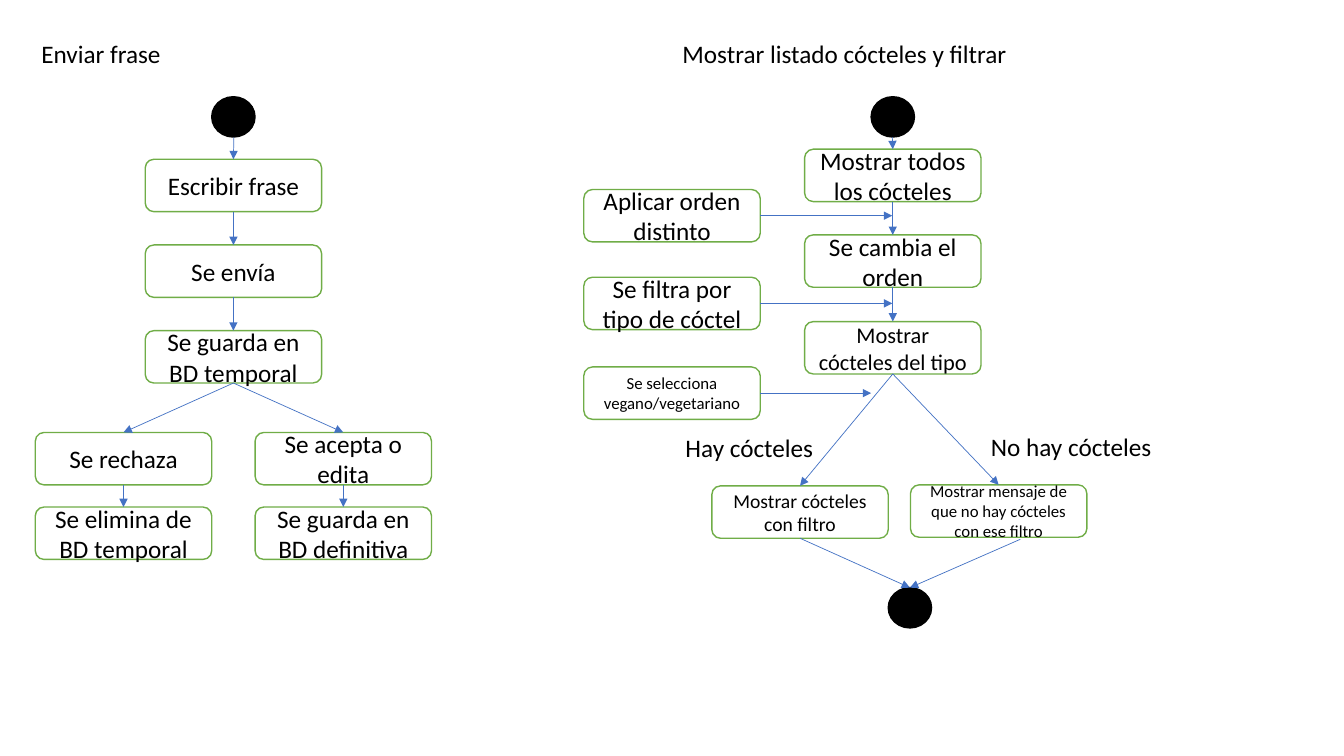
from pptx import Presentation
from pptx.dml.color import RGBColor
from pptx.enum.shapes import MSO_CONNECTOR as Line, MSO_SHAPE as Shape
from pptx.enum.text import MSO_ANCHOR as Anchor, MSO_AUTO_SIZE as Fit, PP_ALIGN as Align
from pptx.oxml.ns import qn
from pptx.util import Pt
from lxml.etree import SubElement as sub

PX = 9144  # 100 px to the inch
WIDE, HIGH = 175, 52
BLACK, WHITE, GREEN, BLUE = "000000", "FFFFFF", "70AD47", "4472C4"
color = RGBColor.from_string


def write(shape, text, size, align, wrap):
    frame = shape.text_frame
    frame.text = text
    form = {"word_wrap": wrap, "auto_size": Fit.NONE,
            "vertical_anchor": Anchor.MIDDLE if wrap else Anchor.TOP}
    for name, value in form.items():
        setattr(frame, name, value)
    para = frame.paragraphs[0]
    para.alignment = align
    font = para.runs[0].font
    for name, value in {"name": "Calibri", "size": Pt(size), "bold": False}.items():
        setattr(font, name, value)
    font.color.rgb = color(BLACK)


def draw(kind, x, y, w, h, fill, edge):
    shape = shapes.add_shape(kind, x * PX, y * PX, w * PX, h * PX)
    shape.shadow.inherit = False
    shape.fill.solid()
    shape.fill.fore_color.rgb = color(fill)
    shape.line.color.rgb = color(edge)
    shape.line.width = Pt(1)
    return shape


deck = Presentation()
deck.slide_width, deck.slide_height = 1333 * PX, 750 * PX
slide = deck.slides.add_slide(deck.slide_layouts[5])
shapes = slide.shapes

# Headings and branch labels
title = shapes.title
for name, value in {"left": 31, "top": 33, "width": 140, "height": 40}.items():
    setattr(title, name, value * PX)
write(title, "Enviar frase", 18, Align.LEFT, False)

for text, x, y, w in [
    ("Mostrar listado cócteles y filtrar", 667, 33, 345),
    ("Hay cócteles", 670, 424, 148),
    ("No hay cócteles", 973, 423, 181),
]:
    label = shapes.add_textbox(x * PX, y * PX, w * PX, 40 * PX)
    write(label, text, 18, Align.LEFT, False)

# Start and end dots
for x, y in [(210, 96), (864, 96), (881, 583)]:
    dot = draw(Shape.OVAL, x, y, 43, 40, BLACK, BLACK)
end = dot

# Steps
steps = {}
for key, x, y, size, text in [
    ("write", 144, 158, 18, "Escribir frase"),
    ("send", 144, 243, 18, "Se envía"),
    ("store", 144, 328, 18, "Se guarda en BD temporal"),
    ("reject", 35, 429, 18, "Se rechaza"),
    ("accept", 253, 429, 18, "Se acepta o edita"),
    ("delete", 35, 503, 18, "Se elimina de BD temporal"),
    ("keep", 253, 503, 18, "Se guarda en BD definitiva"),
    ("all", 798, 148, 18, "Mostrar todos los cócteles"),
    ("sorted", 798, 233, 18, "Se cambia el orden"),
    ("type", 798, 319, 16, "Mostrar cócteles del tipo"),
    ("sort", 579, 188, 18, "Aplicar orden distinto"),
    ("filter", 579, 275, 18, "Se filtra por tipo de cóctel"),
    ("vegan", 579, 364, 12, "Se selecciona vegano/vegetariano"),
    ("found", 706, 482, 14, "Mostrar cócteles con filtro"),
    ("none", 903, 481, 12, "Mostrar mensaje de que no hay cócteles con ese filtro"),
]:
    steps[key] = draw(Shape.ROUNDED_RECTANGLE, x, y, WIDE, HIGH, WHITE, GREEN)
    write(steps[key], text, size, Align.CENTER, True)
steps["end"] = end

# Arrows: each end is a step or a free point
for start, stop in [
    ((232, 136), "write"), ("write", "send"), ("send", "store"),
    ("store", "reject"), ("store", "accept"),
    ("reject", "delete"), ("accept", "keep"),
    ((885, 136), "all"), ("all", "sorted"), ("sorted", "type"),
    ("sort", (885, 214)), ("filter", (885, 301)), ("vegan", (864, 390)),
    ("type", "found"), ("type", "none"),
    ("found", "end"), ((1012, 535), "end"),
]:
    free = [p if isinstance(p, tuple) else (0, 0) for p in (start, stop)]
    arrow = shapes.add_connector(Line.STRAIGHT, *[v * PX for p in free for v in p])
    if start in steps:
        arrow.begin_connect(steps[start], 2 if stop in steps else 3)
    if stop in steps:
        arrow.end_connect(steps[stop], 0)
    arrow.line.color.rgb = color(BLUE)
    arrow.line.width = Pt(0.5)
    sub(arrow.line._get_or_add_ln(), qn("a:tailEnd"), type="triangle")
    sub(arrow._element.spPr, qn("a:effectLst"))

deck.save("out.pptx")
